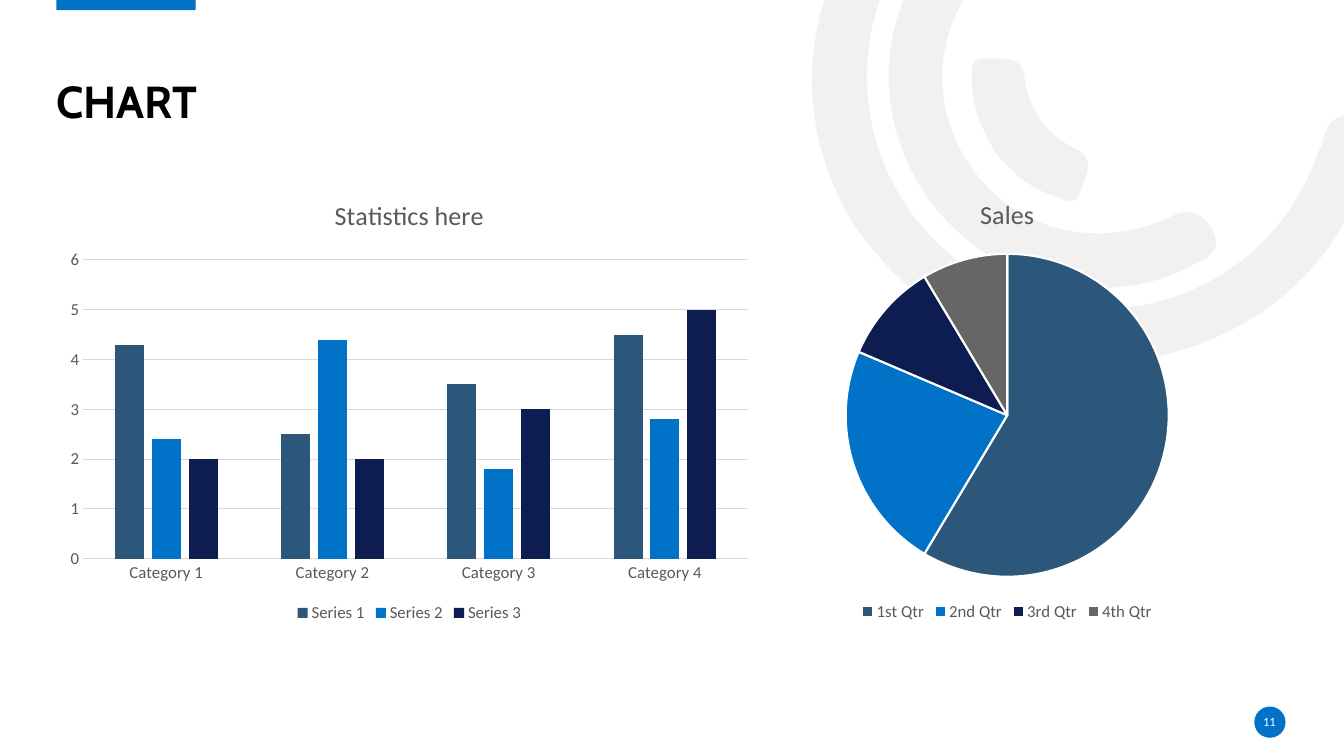
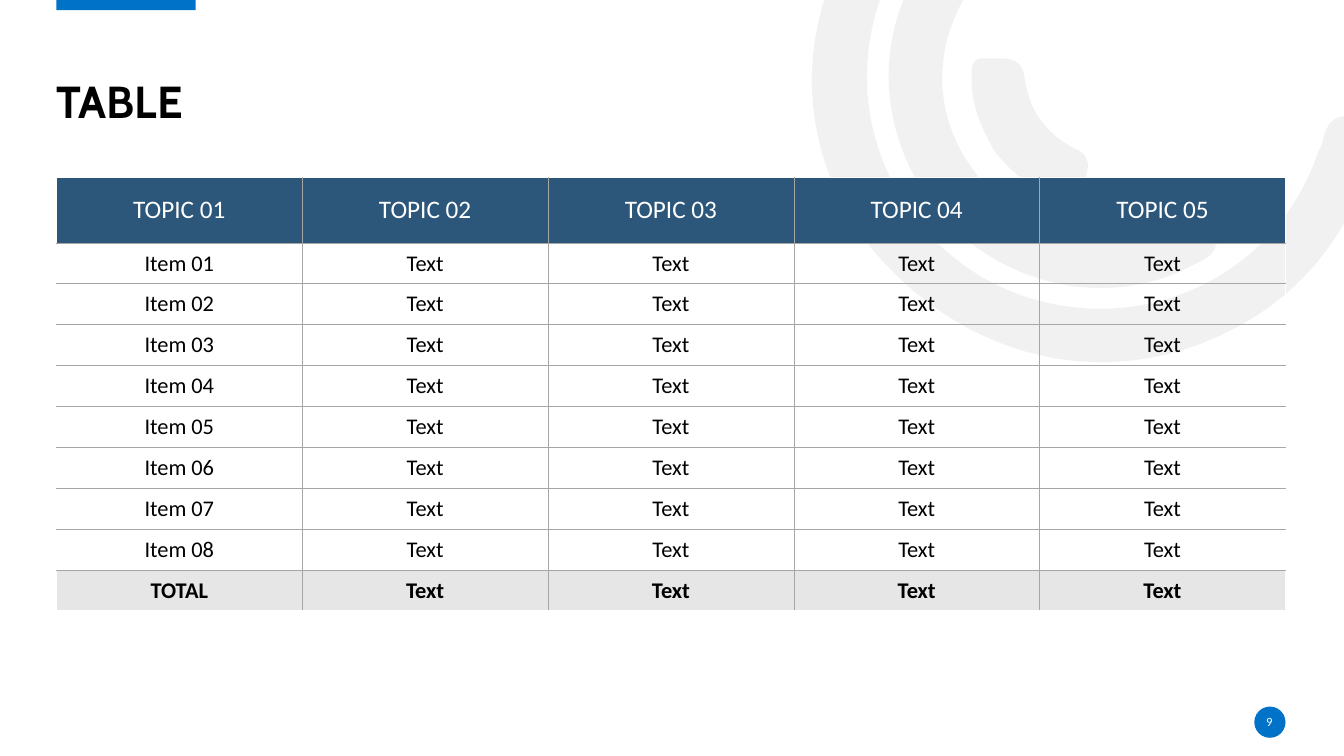
from lxml import etree
from pptx import Presentation
from pptx import util as u
from pptx.chart.data import CategoryChartData
from pptx.dml.color import RGBColor
from pptx.enum import chart as charts
from pptx.enum import shapes, text
from pptx.oxml.ns import qn

WHITE = RGBColor(0xFF, 0xFF, 0xFF)
BLACK = RGBColor(0x00, 0x00, 0x00)
BLUE = RGBColor(0x00, 0x72, 0xC7)
STEEL = RGBColor(0x2C, 0x56, 0x7A)
NAVY = RGBColor(0x0D, 0x1D, 0x51)
GRAY = RGBColor(0x66, 0x66, 0x66)
CHART_TEXT = RGBColor(0x59, 0x59, 0x59)
GRID_LINE = RGBColor(0xD9, 0xD9, 0xD9)
CELL_LINE = RGBColor(0xA6, 0xA6, 0xA6)
PALE = RGBColor(0xE7, 0xE6, 0xE6)
PALETTE = [STEEL, BLUE, NAVY, GRAY]

TITLE_FONT, BODY_FONT = "Cabin", "Calibri"
WIDTH, HEIGHT = 13.33, 7.5
MARGIN = 0.56
CONTENT_WIDTH = 12.19

COLUMN_CHART = {
    "title": "Statistics here",
    "categories": [f"Category {n}" for n in range(1, 5)],
    "series": {
        "Series 1": (4.3, 2.5, 3.5, 4.5),
        "Series 2": (2.4, 4.4, 1.8, 2.8),
        "Series 3": (2, 2, 3, 5),
    },
}
PIE_CHART = {
    "title": "Sales",
    "categories": ["1st Qtr", "2nd Qtr", "3rd Qtr", "4th Qtr"],
    "series": {"Sales": (8.2, 3.2, 1.4, 1.2)},
}
COLUMN_COUNT = 5
TABLE_ROWS = (
    [[f"TOPIC {n:02}" for n in range(1, COLUMN_COUNT + 1)]]
    + [[f"Item {n:02}"] + ["Text"] * (COLUMN_COUNT - 1) for n in range(1, 9)]
    + [["TOTAL"] + ["Text"] * (COLUMN_COUNT - 1)]
)
TABLE_HEIGHT, HEADER_HEIGHT = 4.3, 0.65

# Each arc: a start point, then cubic curves as two controls and an end.
ARCS = [
    ((8.51, 2.29), [
        (7.99, 1.49, 7.87, 0.5, 8.38, -0.5),
        (8.9, -1.52, 9.76, -2.03, 10.9, -2.07),
        (11.05, -2.07, 11.21, -2.1, 11.31, -1.95),
        (11.44, -1.75, 11.27, -1.54, 10.98, -1.54),
        (9.67, -1.54, 8.65, -0.59, 8.6, 0.68),
        (8.56, 1.81, 9.36, 2.81, 10.46, 3.02),
        (11.6, 3.24, 12.7, 2.61, 13.07, 1.52),
        (13.09, 1.48, 13.11, 1.44, 13.12, 1.4),
        (13.16, 1.19, 13.27, 1.11, 13.49, 1.17),
        (13.73, 1.24, 13.67, 1.41, 13.61, 1.56),
        (13.34, 2.45, 12.78, 3.07, 11.91, 3.41),
        (10.7, 3.87, 9.36, 3.45, 8.51, 2.29),
    ]),
    ((9.22, 1.99), [
        (8.62, 1.15, 8.69, 0.07, 9.4, -0.68),
        (9.51, -0.79, 9.62, -0.95, 9.8, -0.78),
        (9.95, -0.64, 9.97, -0.5, 9.79, -0.32),
        (9.25, 0.26, 9.2, 1.08, 9.65, 1.68),
        (10.08, 2.29, 10.88, 2.49, 11.61, 2.15),
        (11.82, 2.05, 11.93, 2.12, 12.03, 2.29),
        (12.13, 2.5, 11.97, 2.56, 11.83, 2.63),
        (10.96, 3.1, 9.83, 2.82, 9.22, 1.99),
    ]),
    ((9.87, 1.51), [
        (9.75, 1.3, 9.64, 1.07, 9.64, 0.82),
        (9.64, 0.73, 9.61, 0.57, 9.76, 0.58),
        (9.92, 0.59, 10.13, 0.53, 10.16, 0.76),
        (10.21, 1.1, 10.36, 1.32, 10.67, 1.48),
        (10.88, 1.57, 10.76, 1.76, 10.72, 1.89),
        (10.68, 2.06, 10.55, 1.98, 10.45, 1.94),
        (10.21, 1.87, 10.03, 1.7, 9.87, 1.51),
    ]),
]


def box(left, top, width, height):
    return [u.Inches(length) for length in (left, top, width, height)]


def format_font(font, size, color, name=BODY_FONT, bold=False):
    font.size, font.name, font.bold = u.Pt(size), name, bold
    font.color.rgb = color


def write(frame, content, align=text.PP_ALIGN.CENTER, spacing=None, **font):
    paragraph = frame.paragraphs[0]
    paragraph.alignment = align
    paragraph.line_spacing = spacing
    run = paragraph.add_run()
    run.text = content
    format_font(run.font, **font)


def clear_insets(frame, anchor):
    frame.margin_left = frame.margin_right = 0
    frame.margin_top = frame.margin_bottom = 0
    frame.word_wrap = True
    frame.auto_size = text.MSO_AUTO_SIZE.NONE
    frame.vertical_anchor = anchor


def paint(shape, color, opacity=None):
    shape.shadow.inherit = False
    shape.fill.solid()
    shape.fill.fore_color.rgb = color
    shape.line.fill.background()
    if opacity:
        color_element = shape.element.spPr.find(f".//{qn('a:srgbClr')}")
        etree.SubElement(color_element, qn("a:alpha"), val=str(opacity * 1000))


def add_arc(slide, start, curves):
    """Build an outline through all points, then make each three a curve."""
    builder = slide.shapes.build_freeform(*(u.Inches(c) for c in start))
    builder.add_line_segments([
        (u.Inches(curve[i]), u.Inches(curve[i + 1]))
        for curve in curves for i in (0, 2, 4)
    ])
    arc = builder.convert_to_shape()
    outline = arc.element.spPr.find(f".//{qn('a:path')}")
    lines = outline.findall(qn("a:lnTo"))
    for first in range(0, len(lines), 3):
        curve = etree.Element(qn("a:cubicBezTo"))
        lines[first].addprevious(curve)
        for line in lines[first:first + 3]:
            curve.append(line[0])
            outline.remove(line)
    return arc


def decorate_layout(layout, slide):
    """Draw the shared shapes on a slide, then move them to its layout."""
    decorations = []
    for start, curves in ARCS:
        arc = add_arc(slide, start, curves)
        paint(arc, PALE, opacity=53)
        decorations.append(arc)
    for kind, place in (
        (shapes.MSO_SHAPE.RECTANGLE, (MARGIN, -0.02, 1.38, 0.12)),
        (shapes.MSO_SHAPE.OVAL, (12.44, 7.01, 0.31, 0.31)),
    ):
        shape = slide.shapes.add_shape(kind, *box(*place))
        paint(shape, BLUE)
        decorations.append(shape)
    for shape in decorations:
        layout.shapes.element.append(shape.element)


def add_slide(presentation, layout, title, number):
    slide = presentation.slides.add_slide(layout)
    heading = slide.shapes.title
    heading.left, heading.top, heading.width, heading.height = box(
        MARGIN, 0.26, CONTENT_WIDTH, 1.01)
    clear_insets(heading.text_frame, text.MSO_ANCHOR.BOTTOM)
    write(heading.text_frame, title, align=text.PP_ALIGN.LEFT, spacing=0.9,
          size=32, color=BLACK, name=TITLE_FONT, bold=True)
    page = slide.shapes.add_textbox(*box(12.43, 7.06, 0.32, 0.2))
    clear_insets(page.text_frame, text.MSO_ANCHOR.MIDDLE)
    write(page.text_frame, str(number), size=9, color=WHITE)
    return slide


def add_chart(slide, kind, place, content):
    data = CategoryChartData()
    data.categories = content["categories"]
    for name, values in content["series"].items():
        data.add_series(name, values)
    chart = slide.shapes.add_chart(kind, *box(*place), data).chart
    format_font(chart.font, 12, CHART_TEXT)
    chart.has_title = True
    write(chart.chart_title.text_frame, content["title"], size=18.6, color=CHART_TEXT)
    chart.has_legend = True
    chart.legend.position = charts.XL_LEGEND_POSITION.BOTTOM
    chart.legend.include_in_layout = False
    format_font(chart.legend.font, 12, CHART_TEXT)
    return chart


def add_column_chart(slide):
    chart = add_chart(slide, charts.XL_CHART_TYPE.COLUMN_CLUSTERED,
                      (MARGIN, 1.77, 7, 4.45), COLUMN_CHART)
    plot = chart.plots[0]
    plot.gap_width, plot.overlap = 219, -27
    plot.vary_by_categories = False
    for series, color in zip(plot.series, PALETTE):
        series.format.fill.solid()
        series.format.fill.fore_color.rgb = color
    for axis in (chart.category_axis, chart.value_axis):
        axis.major_tick_mark = axis.minor_tick_mark = charts.XL_TICK_MARK.NONE
        format_font(axis.tick_labels.font, 12, CHART_TEXT)
    chart.value_axis.format.line.fill.background()
    for line in (chart.category_axis.format.line,
                 chart.value_axis.major_gridlines.format.line):
        line.color.rgb, line.width = GRID_LINE, u.Pt(0.75)


def add_pie_chart(slide):
    chart = add_chart(slide, charts.XL_CHART_TYPE.PIE,
                      (WIDTH - 6.68, 1.76, 6.68, 4.45), PIE_CHART)
    plot = chart.plots[0]
    plot.vary_by_categories = True
    for index, color in enumerate(PALETTE):
        wedge = plot.series[0].points[index].format
        wedge.fill.solid()
        wedge.fill.fore_color.rgb = color
        wedge.line.color.rgb, wedge.line.width = WHITE, u.Pt(1.5)


def set_borders(cell, outer_sides):
    """White outside edges, thin gray lines inside the table."""
    properties = cell._tc.get_or_add_tcPr()
    for index, side in enumerate("LRTB"):
        color, width = (WHITE, 1) if side in outer_sides else (CELL_LINE, 0.5)
        line = etree.Element(qn(f"a:ln{side}"), w=str(u.Pt(width)))
        fill = etree.SubElement(line, qn("a:solidFill"))
        etree.SubElement(fill, qn("a:srgbClr"), val=str(color))
        properties.insert(index, line)


def add_table(slide):
    last_row, last_column = len(TABLE_ROWS) - 1, COLUMN_COUNT - 1
    table = slide.shapes.add_table(
        len(TABLE_ROWS), COLUMN_COUNT,
        *box(MARGIN, 1.76, CONTENT_WIDTH, TABLE_HEIGHT)).table
    table.first_row = table.horz_banding = False
    row_height = (TABLE_HEIGHT - HEADER_HEIGHT) / last_row
    for r, row in enumerate(TABLE_ROWS):
        header, total = r == 0, r == last_row
        table.rows[r].height = u.Inches(HEADER_HEIGHT if header else row_height)
        for c, content in enumerate(row):
            cell = table.cell(r, c)
            cell.vertical_anchor = text.MSO_ANCHOR.MIDDLE
            write(cell.text_frame, content, size=18 if header else 16,
                  color=WHITE if header else BLACK, bold=total)
            if header or total:
                cell.fill.solid()
                cell.fill.fore_color.rgb = STEEL if header else PALE
            else:
                cell.fill.background()
            edges = {"L": c == 0, "R": c == last_column, "T": header, "B": total}
            set_borders(cell, [side for side, outer in edges.items() if outer])


def main():
    presentation = Presentation()
    presentation.slide_width = u.Inches(WIDTH)
    presentation.slide_height = u.Inches(HEIGHT)
    layout = presentation.slide_layouts[5]

    chart_slide = add_slide(presentation, layout, "CHART", 11)
    decorate_layout(layout, chart_slide)
    add_column_chart(chart_slide)
    add_pie_chart(chart_slide)

    table_slide = add_slide(presentation, layout, "TABLE", 9)
    add_table(table_slide)
    presentation.save("out.pptx")


if __name__ == "__main__":
    main()
